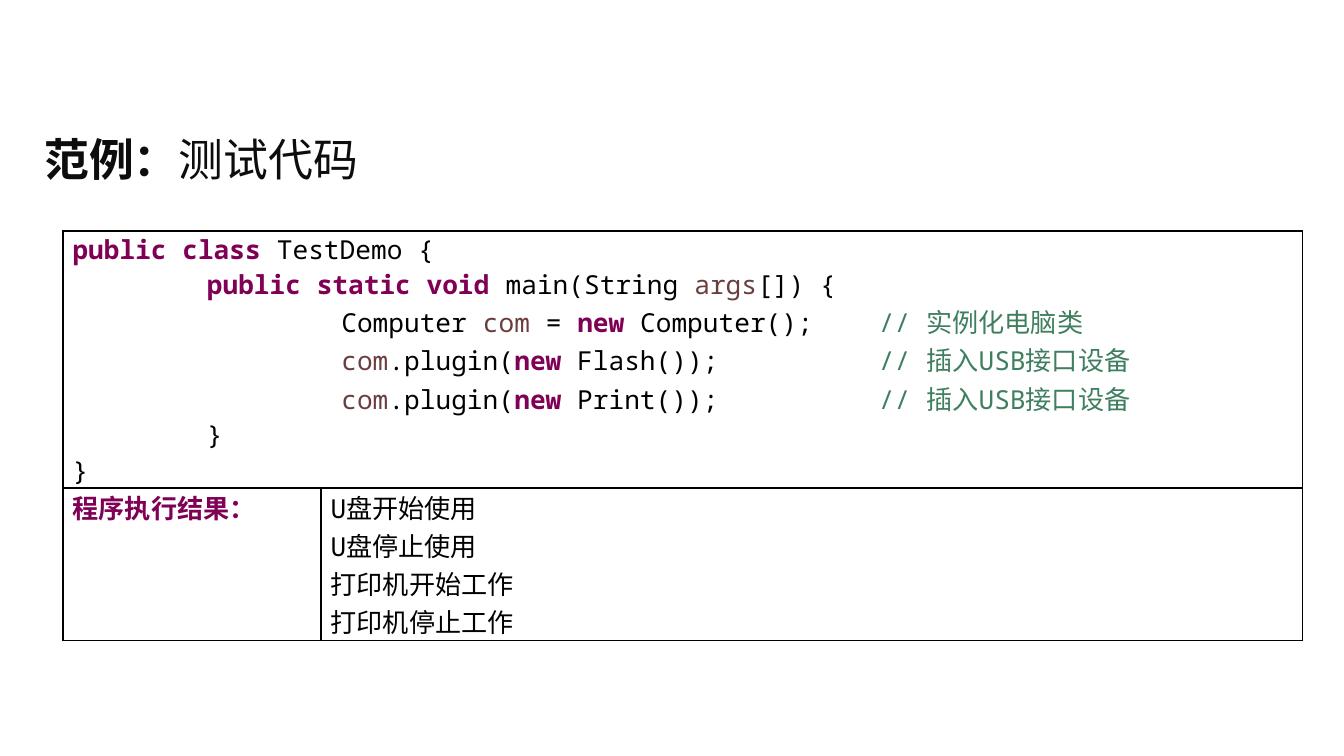
import pptx
import pptx.dml.color
import pptx.enum.text
import pptx.oxml.ns
import pptx.util
from lxml import etree

CJK_FONT = "Noto Sans CJK SC"
CODE_FONT = "Noto Sans Mono"
BLACK = "000000"
KEYWORD = "7F0055"
VARIABLE = "6A3E3E"
COMMENT = "3F7F5F"
COLUMN_WIDTHS = (1.92, 7.3)
ROW_HEIGHTS = (1.62, 0.72)
TAB_STOPS = range(1, 7)


def inches(value):
    return pptx.util.Inches(value)


def color(value):
    return pptx.dml.color.RGBColor.from_string(value)


def add_run(paragraph, text, tint=BLACK, size=14, font=CODE_FONT, bold=None):
    run = paragraph.add_run()
    run.text = text
    run.font.size = pptx.util.Pt(size)
    run.font.bold = tint == KEYWORD if bold is None else bold
    run.font.color.rgb = color(tint)
    run.font.name = font
    east_asian = etree.SubElement(run.font._element, pptx.oxml.ns.qn("a:ea"))
    east_asian.set("typeface", CJK_FONT)


def add_title(slide):
    title = slide.shapes.title
    title.left, title.top = inches(0.23), inches(0.86)
    title.width, title.height = inches(9.53), inches(0.64)
    title.text_frame.vertical_anchor = pptx.enum.text.MSO_ANCHOR.MIDDLE
    paragraph = title.text_frame.paragraphs[0]
    paragraph.alignment = pptx.enum.text.PP_ALIGN.LEFT
    add_run(paragraph, "范例：", "0D0D0D", 24, CJK_FONT, True)
    add_run(paragraph, "测试代码", "0D0D0D", 24, CJK_FONT, False)


def add_borders(cell):
    properties = cell._tc.get_or_add_tcPr()
    for side in ("lnL", "lnR", "lnT", "lnB"):
        line = etree.SubElement(properties, pptx.oxml.ns.qn("a:" + side))
        line.set("w", str(pptx.util.Pt(1)))
        fill = etree.SubElement(line, pptx.oxml.ns.qn("a:solidFill"))
        etree.SubElement(fill, pptx.oxml.ns.qn("a:srgbClr")).set("val", BLACK)


def add_table(slide):
    table = slide.shapes.add_table(
        2, 2, inches(0.47), inches(1.72),
        inches(sum(COLUMN_WIDTHS)), inches(sum(ROW_HEIGHTS))).table
    table.first_row = table.horz_banding = False
    for column, width in zip(table.columns, COLUMN_WIDTHS):
        column.width = inches(width)
    for row, height in zip(table.rows, ROW_HEIGHTS):
        row.height = inches(height)
    for cell in table.iter_cells():
        cell.margin_left = cell.margin_right = inches(0.07)
        cell.margin_top = cell.margin_bottom = 0
        add_borders(cell)
        cell.fill.background()
    table.cell(0, 0).merge(table.cell(0, 1))
    return table


def add_tab_stops(paragraph):
    """One left tab stop for every inch."""
    properties = paragraph._p.get_or_add_pPr()
    stops = etree.SubElement(properties, pptx.oxml.ns.qn("a:tabLst"))
    for position in TAB_STOPS:
        stop = etree.SubElement(stops, pptx.oxml.ns.qn("a:tab"))
        stop.set("pos", str(inches(position)))
        stop.set("algn", "l")


def fill_cell(cell, lines):
    """Each line is a list of (text, color) pieces."""
    frame = cell.text_frame
    for index, line in enumerate(lines):
        paragraph = frame.add_paragraph() if index else frame.paragraphs[0]
        if any("\t" in text for text, tint in line):
            add_tab_stops(paragraph)
        for text, tint in line:
            add_run(paragraph, text, tint)


def plugin_line(device):
    return [("\t\t", BLACK), ("com", VARIABLE), (".plugin(", BLACK),
            ("new", KEYWORD), (f" {device}());\t\t", BLACK),
            ("// 插入USB接口设备", COMMENT)]


def main():
    presentation = pptx.Presentation()
    presentation.slide_width = inches(10)
    presentation.slide_height = presentation.slide_width * 9 // 16
    slide = presentation.slides.add_slide(presentation.slide_layouts[5])
    add_title(slide)
    table = add_table(slide)

    # Source code across both columns
    fill_cell(table.cell(0, 0), [
        [("public class", KEYWORD), (" TestDemo {", BLACK)],
        [("\t", BLACK), ("public static void", KEYWORD),
         (" main(String ", BLACK), ("args", VARIABLE), ("[]) {", BLACK)],
        [("\t\tComputer ", BLACK), ("com", VARIABLE), (" = ", BLACK),
         ("new", KEYWORD), (" Computer();\t", BLACK),
         ("// 实例化电脑类", COMMENT)],
        plugin_line("Flash"),
        plugin_line("Print"),
        [("\t}", BLACK)],
        [("}", BLACK)],
    ])
    closing_line = table.cell(0, 0).text_frame.paragraphs[-1]
    closing_line.alignment = pptx.enum.text.PP_ALIGN.JUSTIFY

    # Program output
    fill_cell(table.cell(1, 0), [[("程序执行结果：", KEYWORD)]])
    output = ("U盘开始使用", "U盘停止使用", "打印机开始工作", "打印机停止工作")
    fill_cell(table.cell(1, 1), [[(text, BLACK)] for text in output])

    presentation.save("out.pptx")


if __name__ == "__main__":
    main()
